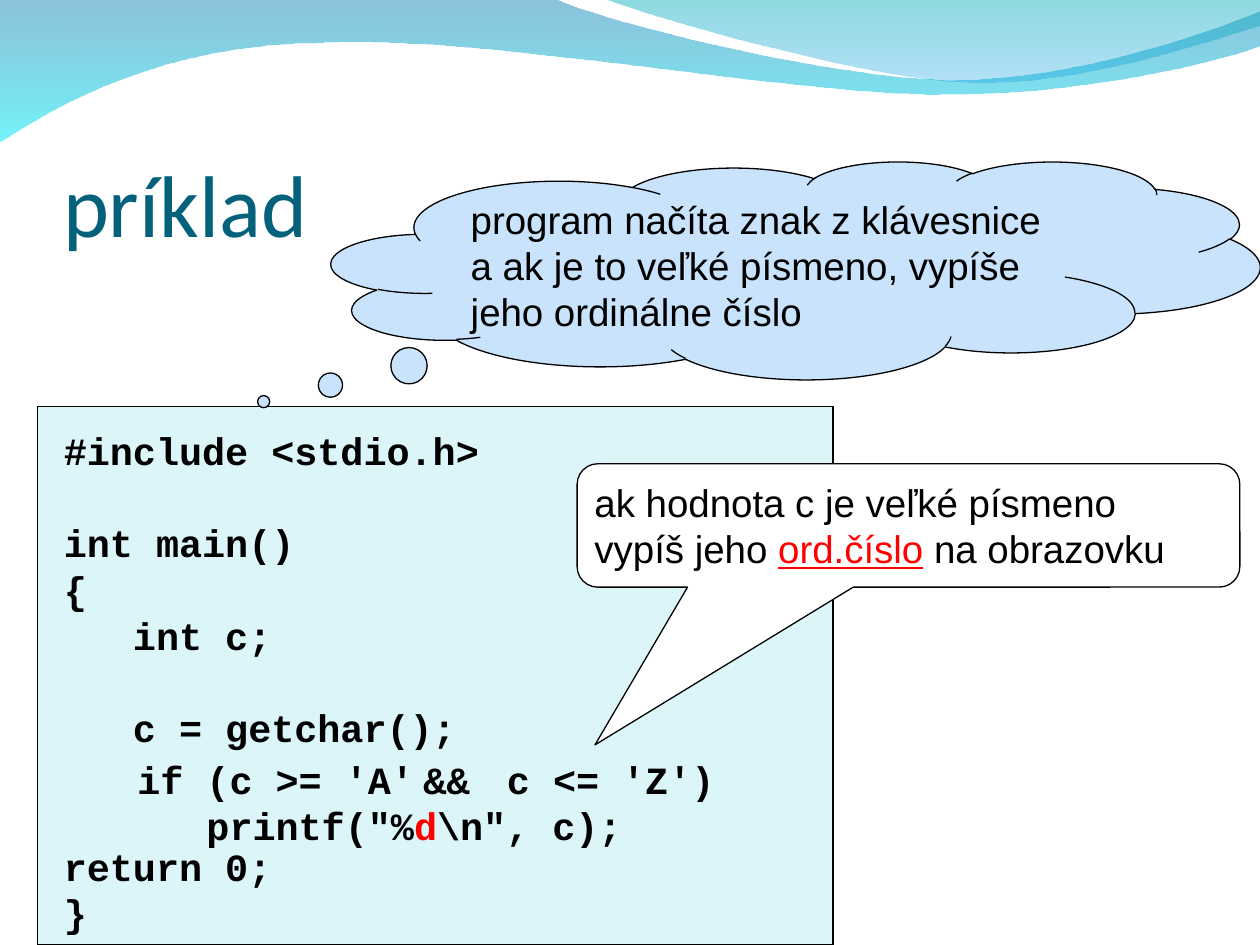
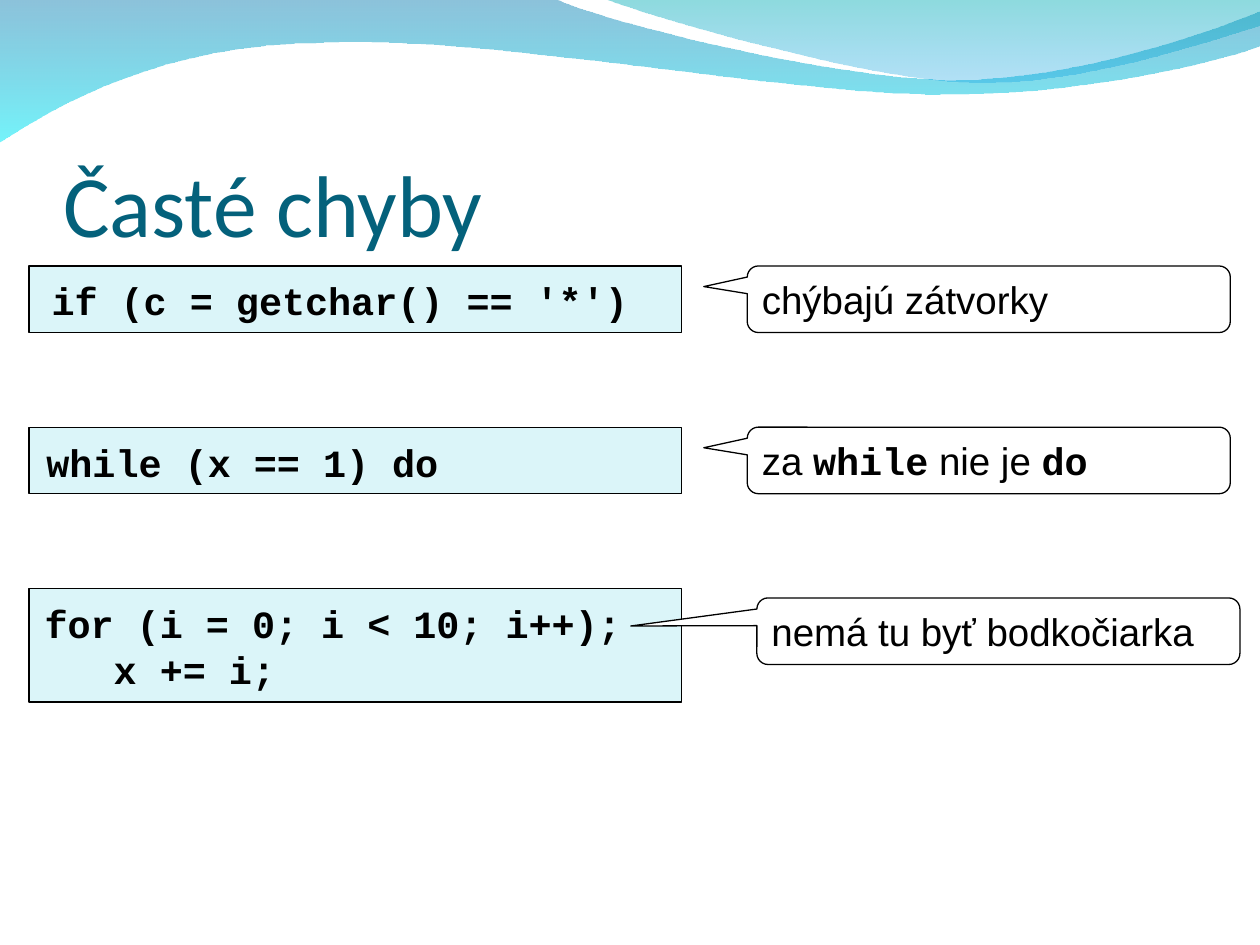
from dataclasses import dataclass

from lxml import etree
from pptx import Presentation
from pptx.dml.color import RGBColor
from pptx.enum.shapes import MSO_SHAPE
from pptx.enum.text import MSO_ANCHOR, MSO_AUTO_SIZE, PP_ALIGN
from pptx.oxml.ns import qn
from pptx.util import Pt

RECTANGLE = MSO_SHAPE.RECTANGLE
CLOUD = MSO_SHAPE.CLOUD_CALLOUT
CALLOUT = MSO_SHAPE.ROUNDED_RECTANGULAR_CALLOUT
MIDDLE, BOTTOM = MSO_ANCHOR.MIDDLE, MSO_ANCHOR.BOTTOM
NO_FIT, GROW = MSO_AUTO_SIZE.NONE, MSO_AUTO_SIZE.SHAPE_TO_FIT_TEXT
LEFT = PP_ALIGN.LEFT

COLORS = {
    "title": "04617B",
    "text": "000000",
    "accent": "FF0000",
    "code": "DBF5F9",
    "cloud": "C8E3FB",
    "callout": "FFFFFF",
}
TITLE_FONT, PROSE_FONT, CODE_FONT = "Calibri", "Arial", "Courier New"
TEXT_SIZE = 22
CODE_LINE = 26.4
CODE_CHARACTER = 13.2
SIDE_INSET, TOP_INSET = 6.5, 3.6


@dataclass(frozen=True)
class Box:
    left: float
    top: float
    width: float
    height: float

    def lengths(self) -> tuple:
        return Pt(self.left), Pt(self.top), Pt(self.width), Pt(self.height)


@dataclass(frozen=True)
class Span:
    text: str
    code: bool = False
    color: str = "text"
    underline: bool = False


@dataclass(frozen=True)
class Line:
    spans: tuple
    space_before: float = 0
    tab_stop: float = 0


@dataclass(frozen=True)
class Wave:
    """A closed outline; a segment is one end point, or two controls and an end point."""
    start: tuple
    segments: tuple
    stops: tuple  # (colour, opacity in percent)


@dataclass(frozen=True)
class Mistake:
    code: tuple
    code_height: float
    code_left: float
    code_width: float
    remark: tuple
    remark_left: float
    remark_drop: float
    pointer: tuple


WAVES = (
    Wave(
        (0, -0.7),
        (
            ((317, -0.7),),
            ((343, 12), (478, 45.5), (546, 45.5)),
            ((614, 45.5), (690, 18.5), (720, 6.5)),
            ((720.7, 26),),
            ((708, 31.5), (626.5, 54.5), (537, 54)),
            ((448, 54), (275, 20), (185, 24.5)),
            ((93, 25), (33, 60), (-0.7, 81.5)),
            ((0, -0.7),),
        ),
        (("0079AF", 45), ("00EBF8", 55)),
    ),
    Wave(
        (345, -0.7),
        (
            ((366.5, 8), (491, 44.5), (553.5, 47)),
            ((616.5, 49.5), (692, 23), (720, 15)),
            ((720, 0),),
            ((345, -0.7),),
        ),
        (("00ADB6", 45), ("009BE5", 30)),
    ),
)

MISTAKES = (
    Mistake(("if (c = getchar() == '*')",), 38, 23, 343,
            (Span("chýbajú zátvorky"),), 427, 0, (-0.59, -0.19)),
    Mistake(("while (x == 1) do",), 38, 20, 237,
            (Span("za "), Span("while", code=True), Span(" nie je "), Span("do", code=True)),
            427, 0, (-0.59, -0.19)),
    Mistake(("for (i = 0; i < 10; i++);", "   x += i;"), 65, 19, 343,
            (Span("nemá tu byť bodkočiarka"),), 432.5, 5.5, (-0.761, -0.078)),
)


def code_line(text: str, blank_lines: int = 0) -> Line:
    return Line((Span(text, code=True),), blank_lines * CODE_LINE)


def bend_outline(shape, segments: tuple) -> None:
    """Turn the straight lines of every three-point segment into one cubic curve."""
    lines = shape.element.iter(qn("a:lnTo"))
    grouped = list(lines)
    for segment in segments:
        members, grouped = grouped[:len(segment)], grouped[len(segment):]
        if len(members) == 3:
            curve = etree.Element(qn("a:cubicBezTo"))
            members[0].addprevious(curve)
            for member in members:
                curve.append(member[0])
                member.getparent().remove(member)


def add_wave(slide, wave: Wave):
    builder = slide.shapes.build_freeform(Pt(wave.start[0]), Pt(wave.start[1]))
    builder.add_line_segments(
        [(Pt(x), Pt(y)) for segment in wave.segments for x, y in segment], close=True)
    shape = builder.convert_to_shape()
    bend_outline(shape, wave.segments)
    shape.shadow.inherit = False
    shape.line.fill.background()
    shape.fill.gradient()
    shape.fill.gradient_angle = 270
    for stop, (color, _) in zip(shape.fill.gradient_stops, wave.stops):
        stop.color.rgb = RGBColor.from_string(color)
    for element, (_, opacity) in zip(shape.element.iter(qn("a:srgbClr")), wave.stops):
        etree.SubElement(element, qn("a:alpha"), val=str(opacity * 1000))
    return shape


def move_waves_to_master(presentation, slide) -> None:
    """Draw the waves with the slide's builder, then keep them on the shared master."""
    tree = presentation.slide_master.shapes.element
    for index, wave in enumerate(WAVES):
        element = add_wave(slide, wave).element
        next(element.iter(qn("p:cNvPr"))).set("id", str(100 + index))
        tree.insert(2 + index, element)


def add_titled_slide(presentation, title: str):
    slide = presentation.slides.add_slide(presentation.slide_layouts[5])
    shape = slide.shapes.title
    shape.left, shape.top, shape.width, shape.height = Box(36, 55.5, 648, 90).lengths()
    frame = shape.text_frame
    frame.text = title
    frame.auto_size = NO_FIT
    frame.vertical_anchor = BOTTOM
    frame.margin_left = frame.margin_right = frame.margin_bottom = 0
    frame.margin_top = Pt(TOP_INSET)
    paragraph = frame.paragraphs[0]
    paragraph.alignment = LEFT
    font = paragraph.runs[0].font
    font.name, font.size = TITLE_FONT, Pt(50)
    font.color.rgb = RGBColor.from_string(COLORS["title"])
    return slide


def write_lines(shape, lines: list) -> None:
    frame = shape.text_frame
    frame.margin_left = frame.margin_right = Pt(SIDE_INSET)
    frame.margin_top = frame.margin_bottom = Pt(TOP_INSET)
    for index, line in enumerate(lines):
        paragraph = frame.add_paragraph() if index else frame.paragraphs[0]
        paragraph.alignment = LEFT
        if line.space_before:
            paragraph.space_before = Pt(line.space_before)
        if line.tab_stop:
            tabs = etree.SubElement(paragraph._p.get_or_add_pPr(), qn("a:tabLst"))
            etree.SubElement(tabs, qn("a:tab"), pos=str(Pt(line.tab_stop)), algn="l")
        for span in line.spans:
            run = paragraph.add_run()
            run.text = span.text
            font = run.font
            font.name = CODE_FONT if span.code else PROSE_FONT
            font.size, font.bold = Pt(TEXT_SIZE), span.code
            font.color.rgb = RGBColor.from_string(COLORS[span.color])
            if span.underline:
                font.underline = True


def add_outlined(shapes, kind, box: Box, color: str, adjustments: tuple = ()):
    shape = shapes.add_shape(kind, *box.lengths())
    shape.shadow.inherit = False
    for index, value in enumerate(adjustments):
        shape.adjustments[index] = value
    shape.fill.solid()
    shape.fill.fore_color.rgb = RGBColor.from_string(COLORS[color])
    shape.line.color.rgb = RGBColor.from_string(COLORS["text"])
    shape.line.width = Pt(0.75)
    return shape


def add_code(shapes, box: Box, lines: list) -> None:
    text_box = shapes.add_textbox(*box.lengths())
    text_box.text_frame.word_wrap = False
    text_box.text_frame.auto_size = GROW
    write_lines(text_box, lines)


def add_bubble(shapes, kind, box: Box, color: str, adjustments: tuple, lines: list) -> None:
    shape = add_outlined(shapes, kind, box, color, adjustments)
    shape.text_frame.word_wrap = True
    shape.text_frame.vertical_anchor = MIDDLE
    write_lines(shape, lines)


def add_callout(shapes, box: Box, pointer: tuple, lines: list) -> None:
    add_bubble(shapes, CALLOUT, box, "callout", (*pointer, 0.167), lines)


def build_example(presentation) -> None:
    slide = add_titled_slide(presentation, "príklad")
    move_waves_to_master(presentation, slide)
    shapes = slide.shapes
    add_outlined(shapes, RECTANGLE, Box(21.5, 232.5, 454.5, 307.5), "code")
    add_code(shapes, Box(30, 240.5, 250.5, 296.5), [
        code_line("#include <stdio.h>"),
        code_line("int main()", blank_lines=1),
        code_line("{"),
        code_line("   int c;"),
        code_line("   c = getchar();", blank_lines=1),
        code_line("return 0;", blank_lines=2),
        code_line("}"),
    ])
    task = "program načíta znak z klávesnice a ak je to veľké písmeno, vypíše jeho ordinálne číslo"
    add_bubble(shapes, CLOUD, Box(189.4, 92.2, 530.6, 124.5), "cloud", (-0.573, 0.603),
               [Line((Span(task),))])
    add_code(shapes, Box(72, 428.5, 343, 59), [
        Line((Span("if (c >= 'A'\tc <= 'Z')", code=True),), tab_stop=16 * CODE_CHARACTER),
        Line((Span('   printf("%', code=True), Span("d", code=True, color="accent"),
              Span('\\n", c);', code=True))),
    ])
    add_code(shapes, Box(235.5, 428.5, 39.5, 33), [code_line("&&")])
    add_callout(shapes, Box(329.8, 265, 378.7, 70.5), (-0.473, 1.779), [
        Line((Span("ak hodnota c je veľké písmeno"),)),
        Line((Span("vypíš jeho "), Span("ord.číslo", color="accent", underline=True),
              Span(" na obrazovku"))),
    ])


def build_mistakes(presentation) -> None:
    shapes = add_titled_slide(presentation, "Časté chyby").shapes
    first_top, row_pitch = 152, 92.1
    for row, mistake in enumerate(MISTAKES):
        top = first_top + row * row_pitch
        group = shapes.add_group_shape().shapes
        add_outlined(group, RECTANGLE, Box(16.5, top, 373, mistake.code_height), "code")
        add_code(group, Box(mistake.code_left, top + 3, mistake.code_width,
                            mistake.code_height - 5.5),
                 [code_line(text) for text in mistake.code])
        add_callout(shapes, Box(mistake.remark_left, top + mistake.remark_drop, 276, 38),
                    mistake.pointer, [Line(mistake.remark)])


def main() -> None:
    presentation = Presentation()
    presentation.slide_width, presentation.slide_height = Pt(720), Pt(540)
    build_example(presentation)
    build_mistakes(presentation)
    presentation.save("out.pptx")


if __name__ == "__main__":
    main()
